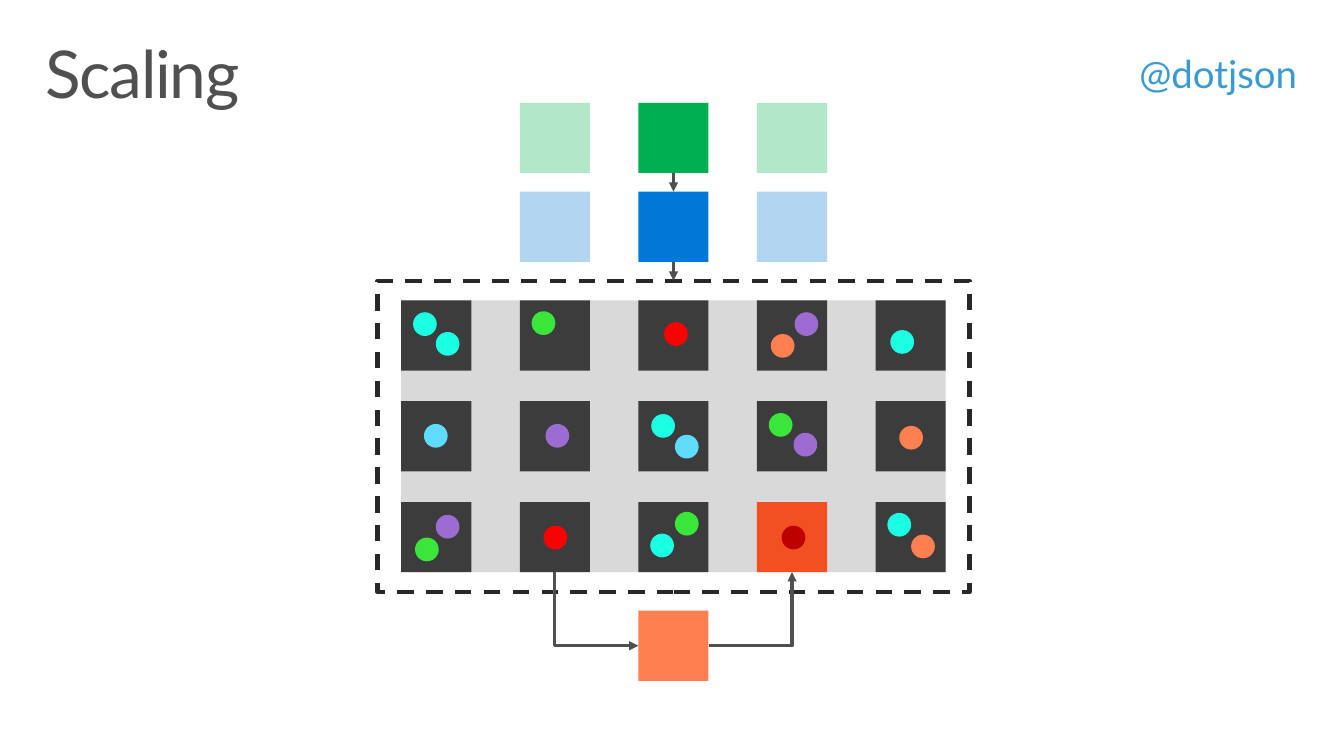
import pptx
import pptx.dml.color
import pptx.enum.dml
import pptx.enum.shapes
import pptx.enum.text
import pptx.oxml.ns
import pptx.util
from lxml import etree

PX = 9144  # 100 px to the inch
WIDTH, HEIGHT = 1360, 765
FONT = "Lato"
HEX = {
    "text": "505050", "handle": "3A9BD4", "panel": "D9D9D9",
    "frame": "282828", "node": "3C3C3C", "failed": "F25022",
    "web": "00B050", "proxy": "0078D7", "orange": "FE7F50",
    "green": "3AE63A", "aqua": "1BFFE3", "red": "FF0000",
    "wine": "C00000", "purple": "9C6CD2", "sky": "5EDBFF",
}

# Each node lists its tasks as (colour, x, y) inside the tile.
NODES = [
    [[("aqua", 12, 12), ("aqua", 35, 32)], [("green", 12, 11)],
     [("red", 26, 22)], [("orange", 14, 34), ("purple", 38, 12)],
     [("aqua", 15, 30)]],
    [[("sky", 23, 23)], [("purple", 26, 23)],
     [("aqua", 13, 13), ("sky", 37, 34)],
     [("green", 12, 12), ("purple", 37, 32)], [("orange", 24, 25)]],
    [[("purple", 35, 13), ("green", 14, 36)], [("red", 24, 24)],
     [("green", 37, 10), ("aqua", 12, 32)], [("wine", 25, 24)],
     [("aqua", 12, 11), ("orange", 36, 33)]],
]
FAILED = (2, 3)
TIERS = [("web", 104), ("proxy", 194)]
SPARES, MIDDLE = (1, 3), 2

TILE, DOT = 71, 24
LEFT, TOP, STEP_X, STEP_Y = 406, 304, 120, 102
FRAME = (382, 284, 599, 315)
WORKER_Y = 618

KIND = pptx.enum.shapes.MSO_SHAPE
LINK = pptx.enum.shapes.MSO_CONNECTOR
qn = pptx.oxml.ns.qn

deck = pptx.Presentation()
deck.slide_width, deck.slide_height = WIDTH * PX, HEIGHT * PX
slide = deck.slides.add_slide(deck.slide_layouts[5])
shapes = slide.shapes


def rgb(name):
    return pptx.dml.color.RGBColor.from_string(HEX[name])


def column(col):
    return LEFT + col * STEP_X


def block(kind, box, fill=None, alpha=None):
    """Add a flat shape; alpha is its opacity in percent."""
    shape = shapes.add_shape(kind, *(n * PX for n in box))
    shape.shadow.inherit = False
    shape.line.fill.background()
    if fill is None:
        shape.fill.background()
        return shape
    shape.fill.solid()
    shape.fill.fore_color.rgb = rgb(fill)
    if alpha:
        tint = shape.fill._xPr.find(".//" + qn("a:srgbClr"))
        etree.SubElement(tint, qn("a:alpha")).set("val", str(alpha * 1000))
    return shape


def tile(x, y, fill, alpha=None):
    return block(KIND.RECTANGLE, (x, y, TILE, TILE), fill, alpha)


def join(start, out, stop, into, bent=False, end="tailEnd"):
    """Link two shapes' sides, with the arrowhead at the given end."""
    link = shapes.add_connector(LINK.ELBOW if bent else LINK.STRAIGHT, 0, 0, 0, 0)
    link.begin_connect(start, out)
    link.end_connect(stop, into)
    link.line.color.rgb = rgb("text")
    link.line.width = pptx.util.Pt(2.25)
    props = link._element.spPr
    if bent:
        props.find(qn("a:prstGeom")).set("prst", "bentConnector2")
    etree.SubElement(props.find(qn("a:ln")), qn("a:" + end)).set("type", "triangle")
    etree.SubElement(props, qn("a:effectLst"))


def write(shape, box, text, size, color, pad):
    """Place a text shape and fill it; pad is (side, top and bottom) in px."""
    shape.left, shape.top, shape.width, shape.height = (n * PX for n in box)
    frame = shape.text_frame
    frame.word_wrap = True
    frame.auto_size = pptx.enum.text.MSO_AUTO_SIZE.NONE
    frame.vertical_anchor = pptx.enum.text.MSO_ANCHOR.TOP
    frame.margin_left = frame.margin_right = pad[0] * PX
    frame.margin_top = frame.margin_bottom = pad[1] * PX
    para = frame.paragraphs[0]
    para.alignment = pptx.enum.text.PP_ALIGN.LEFT
    para.line_spacing = 0.9
    run = para.add_run()
    run.text = text
    run.font.name = FONT
    run.font.size = pptx.util.Pt(size)
    run.font.color.rgb = rgb(color)
    return run


title = write(shapes.title, (30, 32, 1300, 100), "Scaling", 48, "text", (16, 10))
title.font._element.set("spc", "-100")
handle = shapes.add_textbox(0, 0, 0, 0)
write(handle, (1137, 44, 223, 78), "@dotjson", 28, "handle", (16, 12))

wide = STEP_X * (len(NODES[0]) - 1) + TILE
high = STEP_Y * (len(NODES) - 1) + TILE
block(KIND.RECTANGLE, (LEFT, TOP, wide, high), "panel")

cluster = block(KIND.RECTANGLE, FRAME)
cluster.line.color.rgb = rgb("frame")
cluster.line.width = pptx.util.Pt(3)
cluster.line.dash_style = pptx.enum.dml.MSO_LINE.DASH

nodes = {}
for row, line in enumerate(NODES):
    for col, tasks in enumerate(line):
        x, y = column(col), TOP + row * STEP_Y
        fill = "failed" if (row, col) == FAILED else "node"
        nodes[row, col] = tile(x, y, fill)
        for color, dx, dy in tasks:
            block(KIND.OVAL, (x + dx, y + dy, DOT, DOT), color)

chain = []
for color, y in TIERS:
    for col in SPARES:
        tile(column(col), y, color, 30)
    chain.append(tile(column(MIDDLE), y, color))
chain.append(cluster)
for upper, lower in zip(chain, chain[1:]):
    join(upper, 2, lower, 0)

worker = tile(column(MIDDLE), WORKER_Y, "orange")
join(worker, 1, nodes[2, 1], 2, bent=True, end="headEnd")
join(worker, 3, nodes[FAILED], 2, bent=True)

deck.save("out.pptx")
